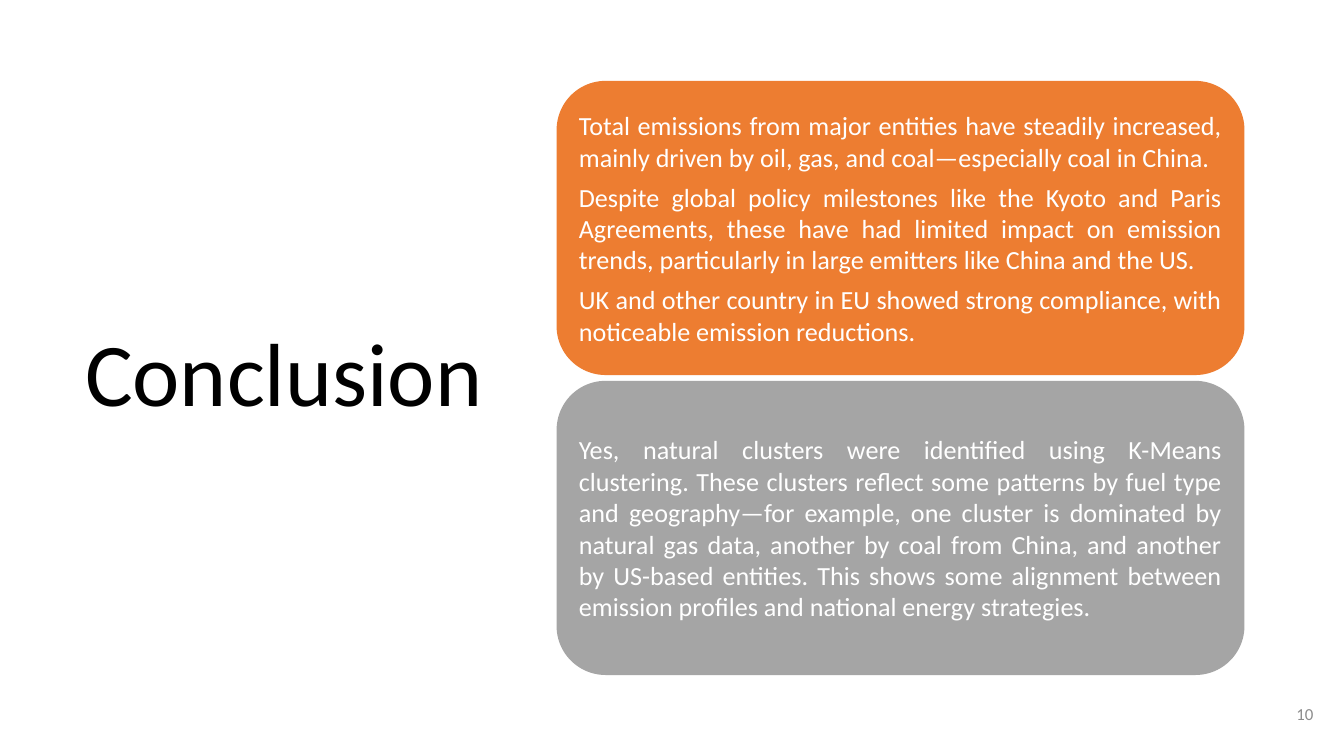
from dataclasses import dataclass

from pptx import Presentation
from pptx.dml.color import RGBColor
from pptx.enum.shapes import MSO_SHAPE
from pptx.enum.text import MSO_ANCHOR, PP_ALIGN
from pptx.slide import Slide
from pptx.text.text import TextFrame
from pptx.util import Cm, Pt

COLORS = {
    "orange": "ED7D31",
    "gray": "A5A5A5",
    "white": "FFFFFF",
    "black": "000000",
    "number": "8C8C8C",
}
FONT = "Calibri"
CARD_LEFT, CARD_TOP = 10.52, 1.53
CARD_WIDTH, CARD_HEIGHT = 13.0, 5.56
CARD_PITCH = 5.67


@dataclass
class Card:
    color: str
    paragraphs: list[str]


CARDS = [
    Card("orange", [
        "Total emissions from major entities have steadily increased, mainly driven by oil, gas, "
        "and coal—especially coal in China.",
        "Despite global policy milestones like the Kyoto and Paris Agreements, these have had "
        "limited impact on emission trends, particularly in large emitters like China and the US.",
        "UK and other country in EU showed strong compliance, with noticeable emission reductions.",
    ]),
    Card("gray", [
        "Yes, natural clusters were identified using K-Means clustering. These clusters reflect "
        "some patterns by fuel type and geography—for example, one cluster is dominated by "
        "natural gas data, another by coal from China, and another by US-based entities. This "
        "shows some alignment between emission profiles and national energy strategies.",
    ]),
]


def write_text(frame: TextFrame, text: str, size: float, color: str,
               align: PP_ALIGN, inset: float) -> None:
    frame.text = text
    frame.word_wrap = True
    frame.vertical_anchor = MSO_ANCHOR.MIDDLE
    frame.margin_left = frame.margin_right = Cm(inset)
    frame.margin_top = frame.margin_bottom = Cm(inset)
    for paragraph in frame.paragraphs:
        paragraph.alignment = align
        for span in paragraph.runs:
            span.font.name = FONT
            span.font.size = Pt(size)
            span.font.color.rgb = RGBColor.from_string(COLORS[color])


def draw_title(page: Slide, text: str) -> None:
    title = page.shapes.title
    title.left, title.top, title.width, title.height = Cm(1.17), Cm(1.32), Cm(8.2), Cm(11.63)
    write_text(title.text_frame, text, 48, "black", PP_ALIGN.RIGHT, 0.25)
    title.text_frame.paragraphs[0].line_spacing = 0.9


def draw_card(page: Slide, card: Card, top: float) -> None:
    box = page.shapes.add_shape(MSO_SHAPE.ROUNDED_RECTANGLE, Cm(CARD_LEFT), Cm(top),
                                Cm(CARD_WIDTH), Cm(CARD_HEIGHT))
    box.shadow.inherit = False
    box.fill.solid()
    box.fill.fore_color.rgb = RGBColor.from_string(COLORS[card.color])
    box.line.fill.background()
    write_text(box.text_frame, "\n".join(card.paragraphs), 14, "white", PP_ALIGN.JUSTIFY, 0.15)
    for paragraph in box.text_frame.paragraphs:
        paragraph.space_after = Pt(4.6)


def draw_page_number(page: Slide, number: str) -> None:
    box = page.shapes.add_textbox(Cm(23.55), Cm(12.95), Cm(1.52), Cm(1.09))
    write_text(box.text_frame, number, 9, "number", PP_ALIGN.RIGHT, 0.25)


def main() -> None:
    deck = Presentation()
    deck.slide_width, deck.slide_height = Cm(25.4), Cm(14.29)
    page = deck.slides.add_slide(deck.slide_layouts.get_by_name("Title Only"))
    draw_title(page, "Conclusion")
    for index, card in enumerate(CARDS):
        draw_card(page, card, CARD_TOP + index * CARD_PITCH)
    draw_page_number(page, "10")
    deck.save("out.pptx")


if __name__ == "__main__":
    main()
